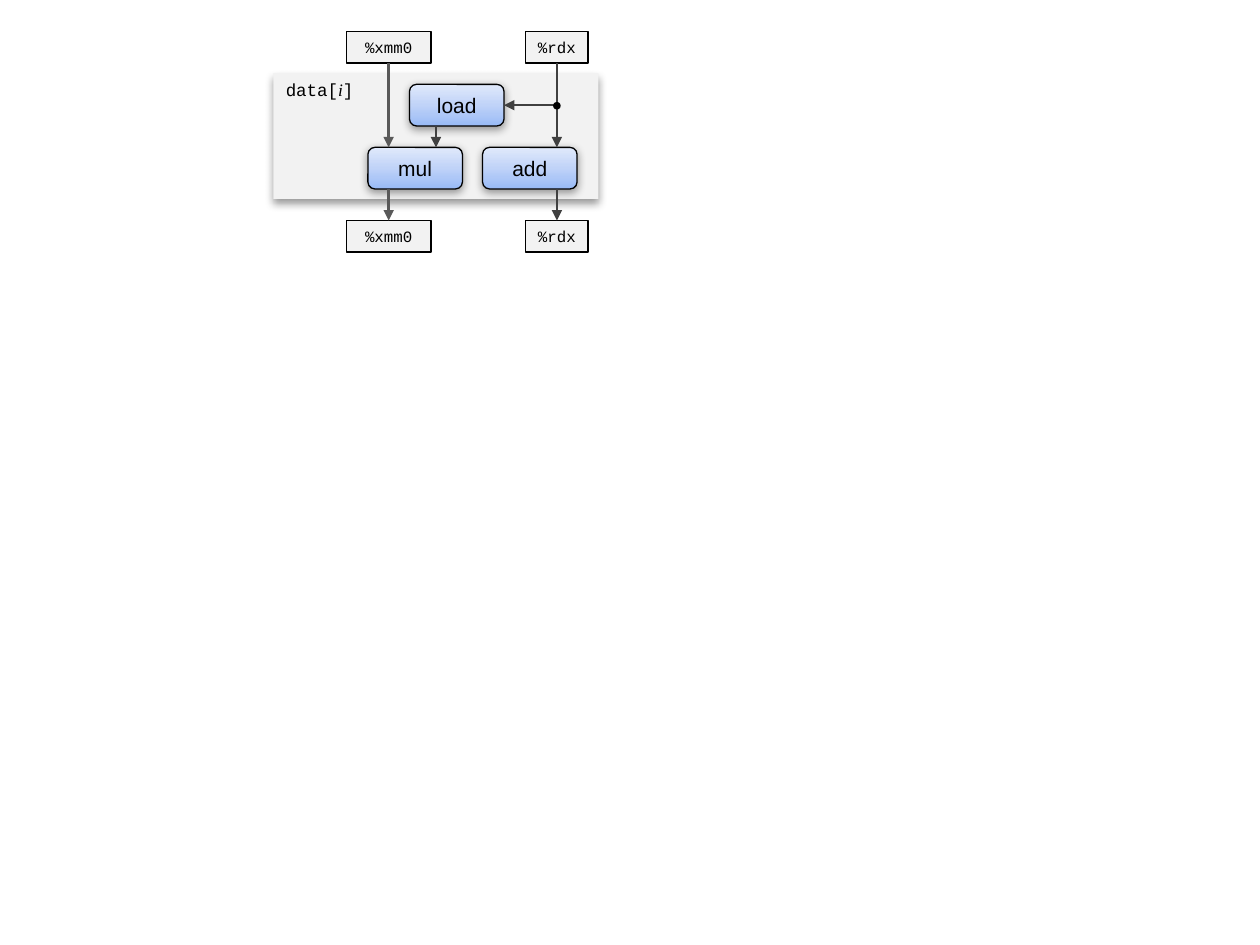
"""Draw the data-flow graph of one loop iteration."""
import copy
import dataclasses

import lxml.etree
import pptx
import pptx.dml.color
import pptx.enum.shapes
import pptx.enum.text
import pptx.oxml.ns
import pptx.util

Inches = pptx.util.Inches
Pt = pptx.util.Pt
Shape = pptx.enum.shapes.MSO_SHAPE
Anchor = pptx.enum.text.MSO_ANCHOR
Align = pptx.enum.text.PP_ALIGN
qn = pptx.oxml.ns.qn
TOP, BOTTOM, RIGHT = 0, 2, 3


def rgb(value):
    return pptx.dml.color.RGBColor.from_string(value)


@dataclasses.dataclass
class Theme:
    ink: str = "000000"
    panel: str = "F2F2F2"
    dark_arrow: str = "404040"
    light_arrow: str = "595959"
    gradient: tuple = ("98BAF6", "C0D3F8", "E0E9FB")
    code_font: str = "Courier New"
    label_font: str = "Arial"
    index_font: str = "Times New Roman"
    register_size: float = 9
    data_size: float = 10
    operation_size: float = 12


class Diagram:
    def __init__(self, page, theme):
        self.page = page
        self.theme = theme

    def shape(self, kind, left, top, width, height, fill=None, line=None):
        box = self.page.shapes.add_shape(
            kind, Inches(left), Inches(top), Inches(width), Inches(height))
        box.shadow.inherit = False
        if fill:
            box.fill.solid()
            box.fill.fore_color.rgb = rgb(fill)
        if line:
            box.line.color.rgb = rgb(self.theme.ink)
            box.line.width = Pt(line)
        else:
            box.line.fill.background()
        return box

    def label(self, box, text, font, size):
        frame = box.text_frame
        frame.margin_left = frame.margin_right = 0
        frame.margin_top = frame.margin_bottom = 0
        frame.vertical_anchor = Anchor.MIDDLE
        para = frame.paragraphs[0]
        para.text = text
        para.alignment = Align.CENTER
        para.font.name = font
        para.font.size = Pt(size)
        para.font.color.rgb = rgb(self.theme.ink)

    def shadow(self, box, opacity, distance):
        effects = box._element.spPr.find(qn("a:effectLst"))
        outer = lxml.etree.SubElement(
            effects, qn("a:outerShdw"), blurRad=str(Pt(5)),
            dist=str(Pt(distance)), dir="5400000", rotWithShape="0")
        color = lxml.etree.SubElement(outer, qn("a:srgbClr"), val=self.theme.ink)
        lxml.etree.SubElement(color, qn("a:alpha"), val=str(opacity * 1000))

    def register(self, text, left, top, width):
        box = self.shape(Shape.RECTANGLE, left, top, width, 0.25, self.theme.panel, 1)
        self.label(box, text, self.theme.code_font, self.theme.register_size)
        return box

    def operation(self, text, left, top):
        box = self.shape(Shape.ROUNDED_RECTANGLE, left, top, 0.75, 0.33, line=0.75)
        box.fill.gradient()
        box.fill.gradient_angle = 90
        stops = box._element.spPr.find(".//" + qn("a:gsLst"))
        stops.insert(1, copy.deepcopy(stops[0]))
        for index, color in enumerate(self.theme.gradient):
            stop = box.fill.gradient_stops[index]
            stop.position = index / 2
            stop.color.rgb = rgb(color)
        self.shadow(box, 38, 1.6)
        self.label(box, text, self.theme.label_font, self.theme.operation_size)
        return box

    def data_panel(self, left, top, width, height):
        box = self.shape(Shape.RECTANGLE, left, top, width, height, self.theme.panel)
        self.shadow(box, 40, 3)
        box.text_frame.vertical_anchor = Anchor.TOP
        para = box.text_frame.paragraphs[0]
        para.alignment = Align.LEFT
        para.font.size = Pt(self.theme.data_size)
        para.font.color.rgb = rgb(self.theme.ink)
        for text, font in (("data[", self.theme.code_font),
                           ("i", self.theme.index_font),
                           ("]", self.theme.code_font)):
            span = para.add_run()
            span.text = text
            span.font.name = font
            span.font.italic = text == "i"

    def arrow(self, start, end, color, source=None, target=None):
        line = self.page.shapes.add_connector(
            pptx.enum.shapes.MSO_CONNECTOR.STRAIGHT,
            *(Inches(value) for value in start + end))
        line.line.color.rgb = rgb(color)
        line.line.width = Pt(1.5)
        lxml.etree.SubElement(
            line.line._get_or_add_ln(), qn("a:tailEnd"), type="triangle")
        lxml.etree.SubElement(line._element.spPr, qn("a:effectLst"))
        if source:
            line.begin_connect(*source)
        if target:
            line.end_connect(*target)


def main():
    deck = pptx.Presentation()
    deck.slide_width, deck.slide_height = Inches(10), Inches(7.5)
    theme = Theme()
    diagram = Diagram(deck.slides.add_slide(deck.slide_layouts[6]), theme)

    diagram.data_panel(2.17, 0.58, 2.58, 1)
    load = diagram.operation("load", 3.25, 0.67)
    diagram.operation("mul", 2.92, 1.17)
    diagram.operation("add", 3.83, 1.17)

    for text, center, width, color in (("%xmm0", 3.085, 0.67, theme.light_arrow),
                                       ("%rdx", 4.42, 0.5, theme.dark_arrow)):
        before, after = (diagram.register(text, center - width / 2, top, width)
                         for top in (0.25, 1.75))
        diagram.arrow((center, 0.5), (center, 1.17), color, source=(before, BOTTOM))
        diagram.arrow((center, 1.5), (center, 1.75), color, target=(after, TOP))

    diagram.arrow((4.42, 0.835), (4, 0.835), theme.dark_arrow, target=(load, RIGHT))
    diagram.arrow((3.46, 1), (3.46, 1.17), theme.dark_arrow)
    diagram.shape(Shape.OVAL, 4.39, 0.81, 0.06, 0.06, theme.ink)
    deck.save("out.pptx")


if __name__ == "__main__":
    main()
